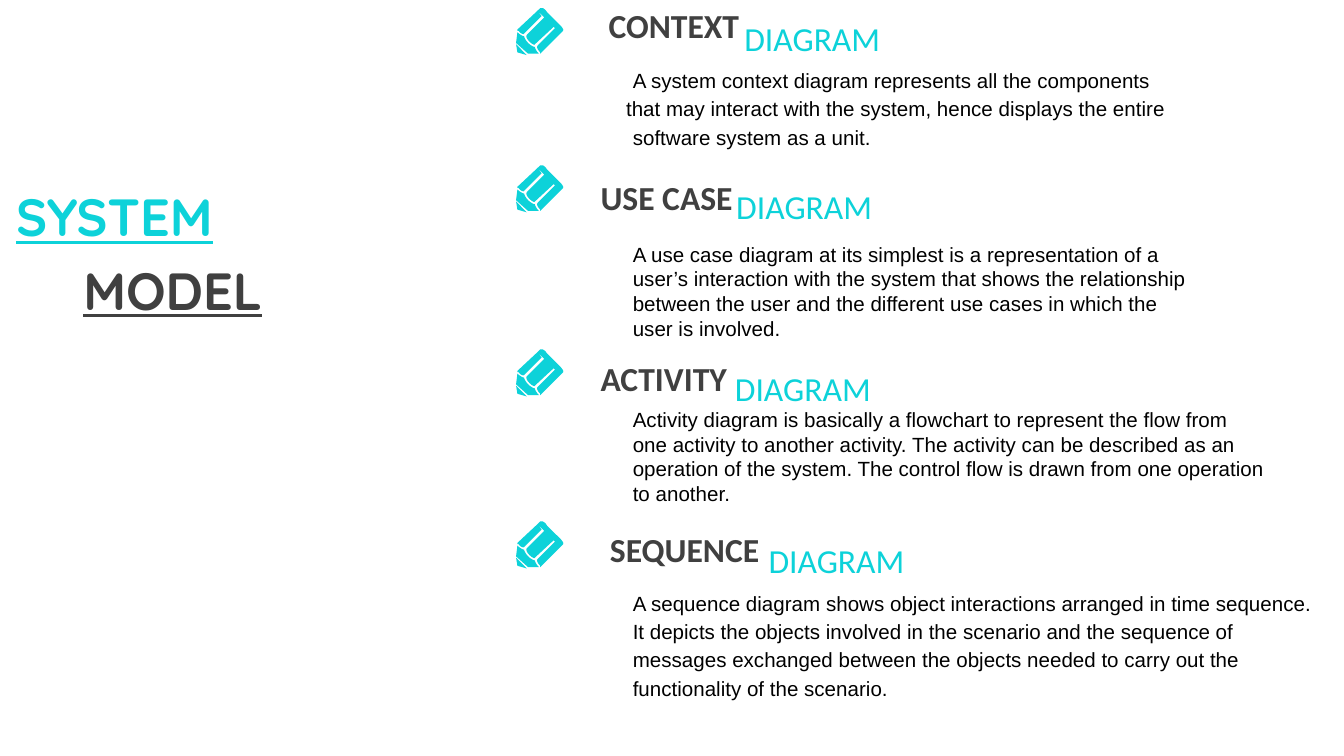
from pptx import Presentation
from pptx.dml.color import RGBColor
from pptx.enum.text import MSO_ANCHOR, MSO_AUTO_SIZE, PP_ALIGN
from pptx.util import Inches, Pt

CYAN = RGBColor(0x0D, 0xD2, 0xD9)
GRAY = RGBColor(0x40, 0x40, 0x40)
BLACK = RGBColor(0, 0, 0)
MIDDLE, TOP = MSO_ANCHOR.MIDDLE, MSO_ANCHOR.TOP
LEFT, JUSTIFY = PP_ALIGN.LEFT, PP_ALIGN.JUSTIFY
NO_FIT = MSO_AUTO_SIZE.NONE

SECTION_LEFT = 3.84
UNITS_PER_INCH = 1000

# Pencil outlines in hundredths of an inch: pairs are corners, sextets are curves
PENCIL = [
    [(0, 27), (8, 35), (1, 33)],
    [(1, 18), (3, 20, 5, 21, 6, 21), (6, 22, 7, 24, 9, 26),
     (11, 28, 13, 29, 14, 29), (14, 30, 15, 32, 17, 34), (9, 34), (0, 26)],
    [(29, 15), (33, 19), (18, 34), (18, 33, 18, 33, 18, 33),
     (16, 31, 15, 29, 16, 28)],
    [(21, 7), (28, 14), (14, 27), (14, 28, 12, 27, 10, 25),
     (8, 23, 7, 21, 8, 20)],
    [(16, 2), (19, 6), (6, 19), (6, 20, 3, 19, 2, 17), (1, 17, 1, 17, 1, 16)],
    [(20, 0), (21, 1, 22, 1, 23, 3), (32, 12), (34, 14, 36, 16, 35, 17),
     (34, 18, 34, 18, 33, 19), (16, 2), (18, 0), (18, 0, 19, 0, 20, 0)],
]

# Offsets are measured from the top left of each section
SECTIONS = [
    dict(top=0.06, name="CONTEXT", name_at=(0.59, -0.01), kind_at=(1.6, 0.09),
         body_at=(0.72, 0.37), spacing=1.15, indents=(0.05, 0, 0.05), lines=[
             "A system context diagram represents all the components",
             "that may interact with the system, hence displays the entire",
             "software system as a unit."]),
    dict(top=1.23, name="USE CASE", name_at=(0.53, 0.1), kind_at=(1.54, 0.17),
         body_at=(0.77, 0.52), lines=[
             "A use case diagram at its simplest is a representation of a",
             "user’s interaction with the system that shows the relationship",
             "between the user and the different use cases in which the",
             "user is involved."]),
    dict(top=2.6, name="ACTIVITY", name_at=(0.53, 0.08), kind_at=(1.53, 0.15),
         body_at=(0.77, 0.38), lines=[
             "Activity diagram is basically a flowchart to represent the flow from",
             "one activity to another activity. The activity can be described as an",
             "operation of the system. The control flow is drawn from one operation",
             "to another."]),
    dict(top=3.88, name="SEQUENCE", name_at=(0.6, 0.07), kind_at=(1.78, 0.15),
         body_at=(0.77, 0.44), spacing=1.15, align=JUSTIFY, lines=[
             "A sequence diagram shows object interactions arranged in time sequence.",
             "It depicts the objects involved in the scenario and the sequence of",
             "messages exchanged between the objects needed to carry out the",
             "functionality of the scenario."]),
]


def style_runs(paragraph, font_name, size, color, bold=False, underline=False):
    for run in paragraph.runs:
        font = run.font
        font.name, font.size = font_name, Pt(size)
        font.bold, font.underline = bold, underline
        font.color.rgb = color


def add_text(slide, left, top, width, height, text, anchor):
    box = slide.shapes.add_textbox(
        Inches(left), Inches(top), Inches(width), Inches(height))
    frame = box.text_frame
    frame.word_wrap = True
    frame.vertical_anchor = anchor
    frame.text = text
    return frame.paragraphs


def trace(outline):
    """Return the outline's points, with each curve cut into short steps."""
    points = [outline[0]]
    for part in outline[1:]:
        if len(part) == 2:
            points.append(part)
            continue
        start = points[-1]
        for t in (0.25, 0.5, 0.75, 1):
            weights = ((1 - t) ** 3, 3 * t * (1 - t) ** 2,
                       3 * t ** 2 * (1 - t), t ** 3)
            controls = (start, part[:2], part[2:4], part[4:])
            points.append(tuple(
                sum(w * c[axis] for w, c in zip(weights, controls))
                for axis in (0, 1)))
    return [(round(x * 10), round(y * 10)) for x, y in points]


def add_pencil(slide, left, top):
    outlines = [trace(outline) for outline in PENCIL]
    builder = slide.shapes.build_freeform(
        *outlines[0][0], scale=Inches(1) / UNITS_PER_INCH)
    for index, points in enumerate(outlines):
        if index:
            builder.move_to(*points[0])
        builder.add_line_segments(points[1:], close=True)
    pencil = builder.convert_to_shape(Inches(left), Inches(top))
    pencil.shadow.inherit = False
    pencil.fill.solid()
    pencil.fill.fore_color.rgb = CYAN
    pencil.line.fill.background()


def add_section(slide, left, top, section):
    add_pencil(slide, left, top)

    # Two-tone heading
    for text, at, color, bold in (
            (section["name"], section["name_at"], GRAY, True),
            ("DIAGRAM", section["kind_at"], CYAN, False)):
        heading = add_text(slide, left + at[0], top + at[1], 1.5, 0.27,
                           text, MIDDLE)
        style_runs(heading[0], "Calibri", 18, color, bold)

    # Description
    x, y = section["body_at"]
    lines = section["lines"]
    description = add_text(slide, left + x, top + y, 5.39, 0.93,
                           "\n".join(lines), TOP)
    indents = section.get("indents", [0] * len(lines))
    for paragraph, indent in zip(description, indents):
        paragraph.alignment = section.get("align", LEFT)
        paragraph.line_spacing = section.get("spacing", 1.0)
        if indent:
            paragraph._p.get_or_add_pPr().set("marL", str(Inches(indent)))
        style_runs(paragraph, "Arial", 11, BLACK)


def add_title(slide, left, top, width, height):
    title = slide.shapes.title
    title.left, title.top = Inches(left), Inches(top)
    title.width, title.height = Inches(width), Inches(height)
    frame = title.text_frame
    frame.auto_size = NO_FIT
    frame.word_wrap = True
    frame.vertical_anchor = MIDDLE
    frame.text = "SYSTEM\nMODEL"
    system, model = frame.paragraphs
    for paragraph, color in ((system, CYAN), (model, GRAY)):
        paragraph.alignment = LEFT
        style_runs(paragraph, "Quicksand", 28, color, True, True)
    model.space_before = Pt(5.6)
    model._p.get_or_add_pPr().set("marL", str(Inches(0.5)))


def main():
    deck = Presentation()
    # Widescreen, 16:9
    deck.slide_width = Inches(10)
    deck.slide_height = deck.slide_width * 9 // 16
    slide = deck.slides.add_slide(deck.slide_layouts[5])
    add_title(slide, 0.02, 1.26, 2.15, 1.24)
    for section in SECTIONS:
        add_section(slide, SECTION_LEFT, section["top"], section)
    deck.save("out.pptx")


if __name__ == "__main__":
    main()
